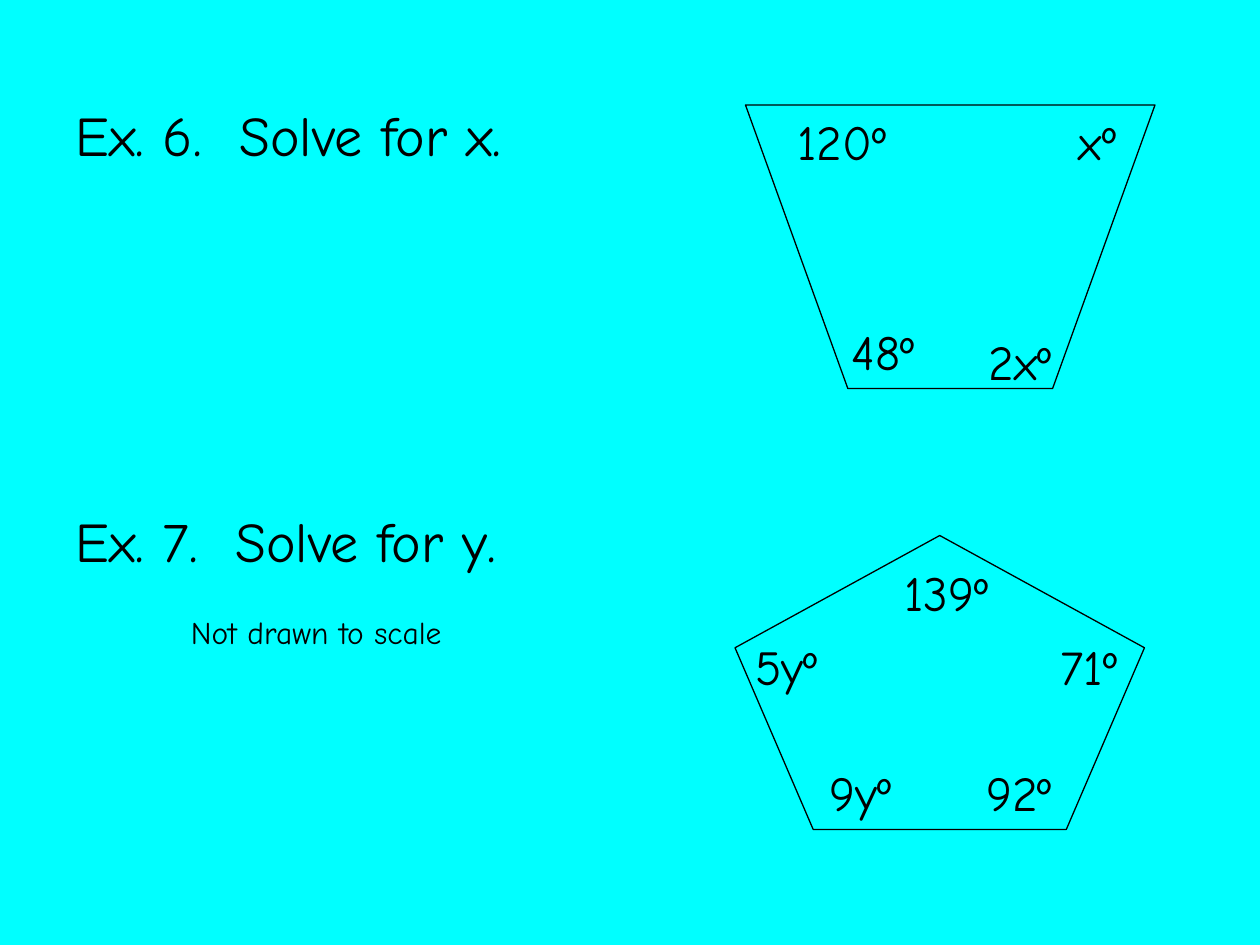
"""Builds a geometry exercise slide with two polygons and their angle labels."""
from pptx import Presentation
from pptx.dml.color import RGBColor
from pptx.enum.shapes import MSO_SHAPE
from pptx.enum.text import MSO_AUTO_SIZE
from pptx.util import Pt

COLORS = {"background": "00FFFF", "ink": "000000"}


class Worksheet:
    font = "Comic Neue"
    line_width = 0.74

    def __init__(self, prs):
        self.slide = prs.slides.add_slide(prs.slide_layouts[6])
        fill = self.slide.background.fill
        fill.solid()
        fill.fore_color.rgb = RGBColor.from_string(COLORS["background"])

    def text(self, x, y, w, h, lines, wrap=True):
        tf = self.slide.shapes.add_textbox(Pt(x), Pt(y), Pt(w), Pt(h)).text_frame
        tf.word_wrap = wrap
        for i, (words, size, before, indent) in enumerate(lines):
            p = tf.add_paragraph() if i else tf.paragraphs[0]
            p.text = words
            p.space_before = Pt(before)
            p.font.name = self.font
            p.font.size = Pt(size)
            p.font.color.rgb = RGBColor.from_string(COLORS["ink"])
            if indent:
                p._p.get_or_add_pPr().set("marL", str(Pt(indent)))
        return tf

    def label(self, x, y, w, words):
        tf = self.text(x, y, w, 41, [(words, 28, 0, 0)], wrap=False)
        tf.auto_size = MSO_AUTO_SIZE.SHAPE_TO_FIT_TEXT

    def outline(self, sp):
        sp.shadow.inherit = False
        sp.fill.background()
        sp.line.color.rgb = RGBColor.from_string(COLORS["ink"])
        sp.line.width = Pt(self.line_width)

    def pentagon(self, x, y, w, h):
        self.outline(self.slide.shapes.add_shape(
            MSO_SHAPE.REGULAR_PENTAGON, Pt(x), Pt(y), Pt(w), Pt(h)))

    def polygon(self, points):
        start, *rest = [(Pt(x), Pt(y)) for x, y in points]
        builder = self.slide.shapes.build_freeform(*start)
        builder.add_line_segments(rest, close=True)
        self.outline(builder.convert_to_shape())


prs = Presentation()
prs.slide_width, prs.slide_height = Pt(720), Pt(540)
s = Worksheet(prs)

s.text(36, 54, 648, 428.4, [
    ("Ex. 6.  Solve for x.", 32, 8, 0),
    ("Ex. 7.  Solve for y.", 32, 193.5, 0),
    ("Not drawn to scale", 18, 22.5, 66),
])

s.pentagon(420, 306, 234, 168)
s.polygon([(426, 60), (484.5, 222), (601.5, 222), (660, 60)])

for x, y, w, angle in [
    (448.5, 60, 65, "120º"),
    (479.5, 180, 50, "48º"),
    (609.5, 60, 36, "xº"),
    (558, 186, 50, "2xº"),
    (424.5, 360, 50, "5yº"),
    (467, 432, 50, "9yº"),
    (556.5, 432, 52, "92º"),
    (509.5, 318, 63, "139º"),
    (599, 360, 47, "71º"),
]:
    s.label(x, y, w, angle)

prs.save("out.pptx")
